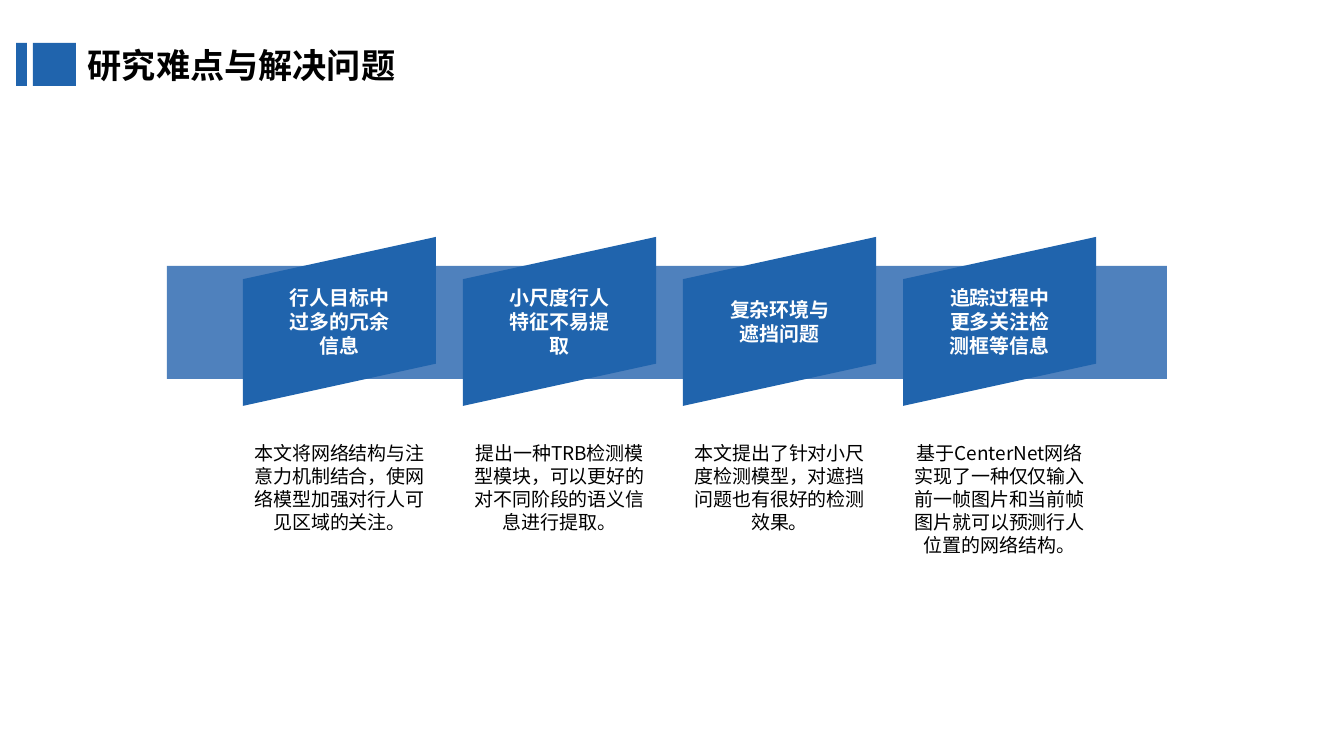
"""Build the slide on research difficulties and the answers to them."""
from pptx import Presentation
from pptx.dml.color import RGBColor as Rgb
from pptx.enum.shapes import MSO_SHAPE as Kind
from pptx.enum.text import MSO_ANCHOR as Anchor, MSO_AUTO_SIZE as Fit, PP_ALIGN as Align
from pptx.oxml.ns import qn
from pptx.util import Pt

PX = 6694
THEME = {
    "font": "Noto Sans CJK SC",
    "blue": Rgb(0x20, 0x64, 0xAD),
    "band": Rgb(0x4F, 0x81, 0xBD),
    "white": Rgb(255, 255, 255),
    "black": Rgb(0, 0, 0),
    "title": {"size": Pt(18), "bold": True},
    "head": {"size": Pt(10.5), "bold": True},
    "note": {"size": Pt(10), "bold": False},
}
ITEMS = [
    ("行人目标中过多的冗余信息",
     "本文将网络结构与注意力机制结合，使网络模型加强对行人可见区域的关注。", 119),
    ("小尺度行人特征不易提取",
     "提出一种TRB检测模型模块，可以更好的对不同阶段的语义信息进行提取。", 119),
    ("复杂环境与遮挡问题",
     "本文提出了针对小尺度检测模型，对遮挡问题也有很好的检测效果。", 119),
    ("追踪过程中更多关注检测框等信息",
     "基于CenterNet网络实现了一种仅仅输入前一帧图片和当前帧图片就可以预测行人位置的网络结构。", 146),
]


def block(kind, box, color):
    """Add a plain filled shape."""
    shape = slide.shapes.add_shape(kind, *(PX * n for n in box))
    shape.shadow.inherit = False
    shape.fill.solid()
    shape.fill.fore_color.rgb = color
    shape.line.fill.background()
    return shape


def write(shape, text, style, color, anchor, pad=(10, 5)):
    """Put one centred paragraph into a shape."""
    frame = shape.text_frame
    side, edge = (PX * n for n in pad)
    form = {"word_wrap": True, "auto_size": Fit.NONE, "vertical_anchor": anchor,
            "margin_left": side, "margin_right": side,
            "margin_top": edge, "margin_bottom": edge}
    for key, value in form.items():
        setattr(frame, key, value)
    para = frame.paragraphs[0]
    para.alignment = Align.CENTER
    para.line_spacing = 1.0
    para.space_before = Pt(0)
    run = para.add_run()
    run.text = text
    for key, value in {"name": THEME["font"], **THEME[style]}.items():
        setattr(run.font, key, value)
    run.font.color.rgb = color
    east = run.font._element.makeelement(qn("a:ea"), {"typeface": THEME["font"]})
    run.font._element.find(qn("a:latin")).addnext(east)


deck = Presentation()
deck.slide_width, deck.slide_height = 1344 * PX, 753 * PX
slide = deck.slides.add_slide(deck.slide_layouts[5])

title = slide.shapes.title
title.left, title.top, title.width, title.height = (PX * n for n in (48, 44, 387, 49))
write(title, "研究难点与解决问题", "title", THEME["black"], Anchor.TOP, (0, 0))
for left, wide in ((33, 43), (16, 11)):
    block(Kind.RECTANGLE, (left, 43, wide, 43), THEME["blue"])

block(Kind.RECTANGLE, (167, 266, 1000, 113), THEME["band"])

LEFT, TOP, WIDE, HIGH, STEP = 243, 237, 193, 169, 220
SHIFT = (WIDE - HIGH) // 2
for i, (head, note, tall) in enumerate(ITEMS):
    x = LEFT + i * STEP
    card = block(Kind.PARALLELOGRAM, (x + SHIFT, TOP - SHIFT, HIGH, WIDE), THEME["blue"])
    card.rotation = 270
    card._element.spPr.xfrm.set("flipV", "1")
    write(card, head, "head", THEME["white"], Anchor.MIDDLE)
    card.text_frame._txBody.bodyPr.set("vert", "vert270")
    area = slide.shapes.add_textbox(*(PX * n for n in (x, 437, WIDE, tall)))
    write(area, note, "note", THEME["black"], Anchor.TOP)

deck.save("out.pptx")
